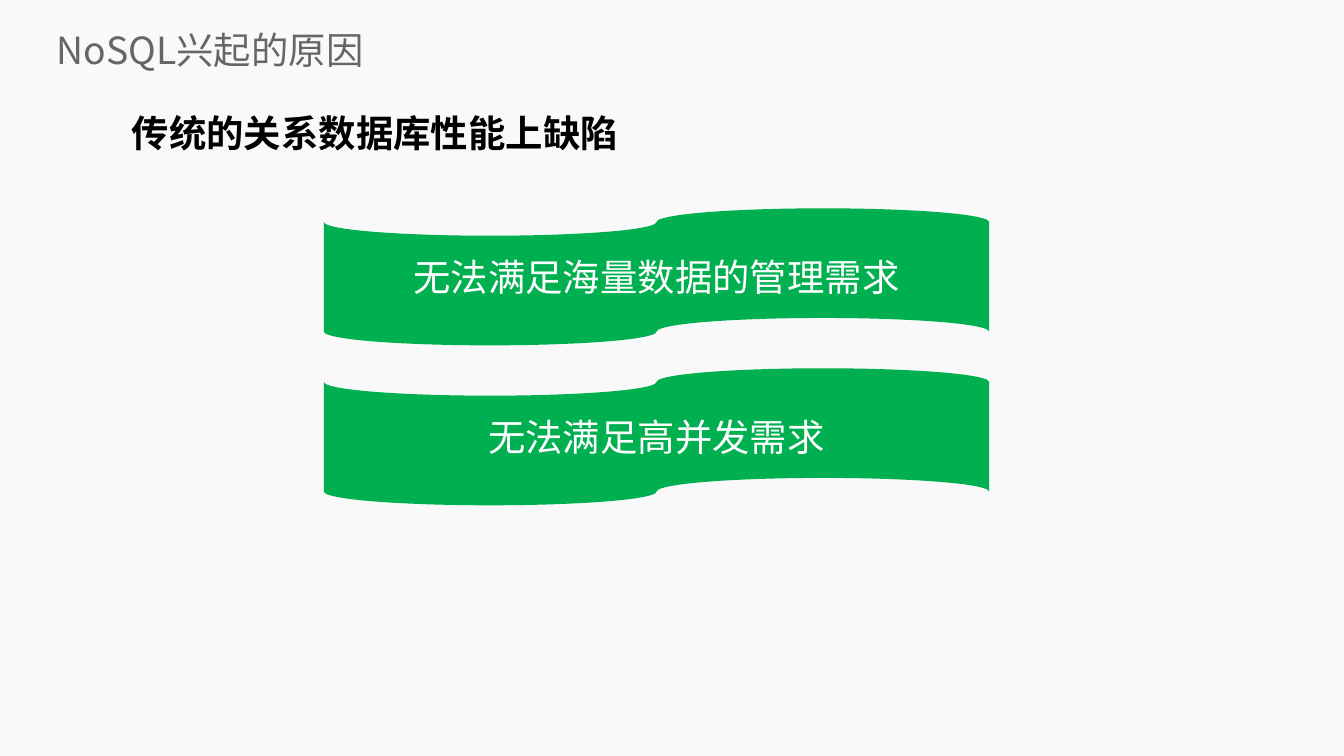
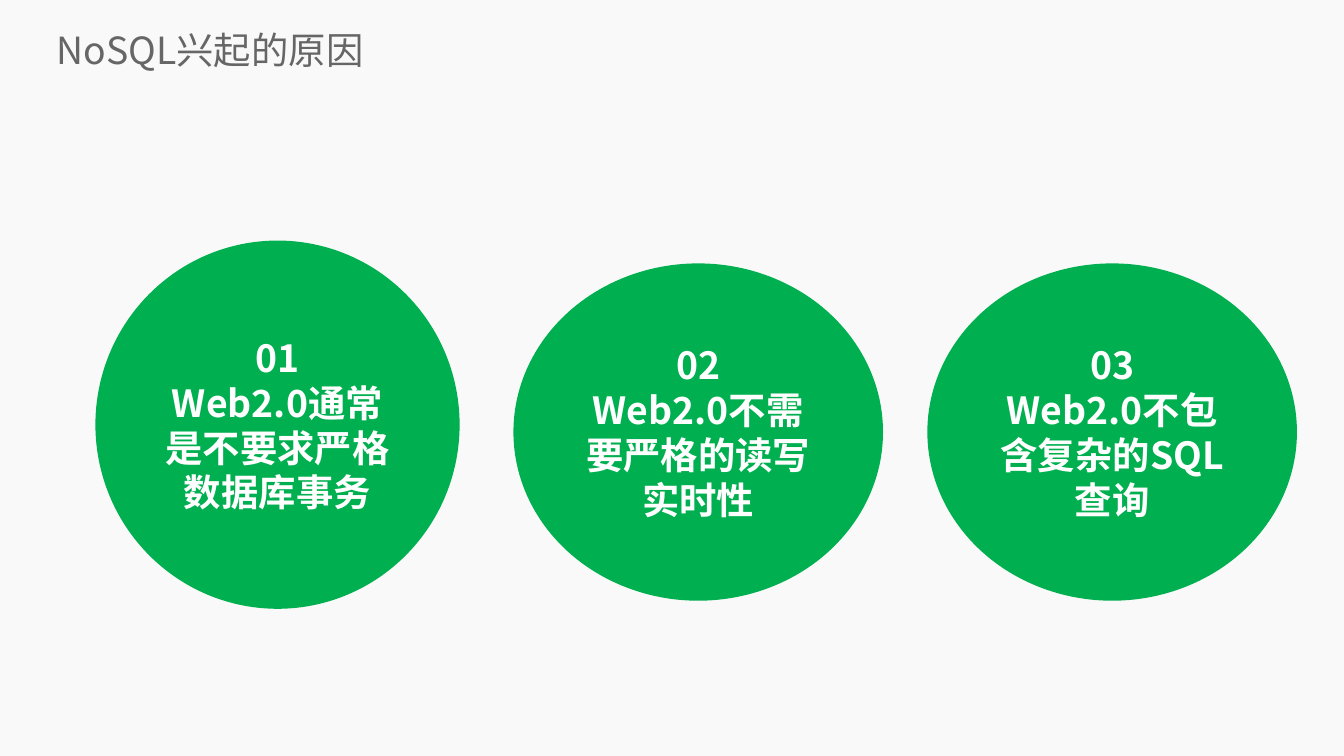
from dataclasses import dataclass

from lxml import etree
from pptx import Presentation
from pptx.dml.color import RGBColor
from pptx.enum.shapes import MSO_SHAPE
from pptx.enum.text import MSO_ANCHOR, PP_ALIGN
from pptx.oxml.ns import qn
from pptx.util import Pt

PX = 4572
TAPE, OVAL = MSO_SHAPE.FLOWCHART_PUNCHED_TAPE, MSO_SHAPE.OVAL
TOP, MIDDLE = MSO_ANCHOR.TOP, MSO_ANCHOR.MIDDLE
LEFT, CENTER = PP_ALIGN.LEFT, PP_ALIGN.CENTER


@dataclass(frozen=True)
class Theme:
    font: str = "Noto Sans CJK SC"
    size: int = 20
    back: RGBColor = RGBColor(0xF9, 0xF9, 0xF9)
    title: RGBColor = RGBColor(0x66, 0x66, 0x66)
    ink: RGBColor = RGBColor(0, 0, 0)
    green: RGBColor = RGBColor(0x00, 0xB0, 0x50)
    white: RGBColor = RGBColor(0xFF, 0xFF, 0xFF)


T = Theme()


def add_text(s, box, lines, color, bold=False, shape=None, anchor=MIDDLE, spacing=None):
    box = [v * PX for v in box]
    if shape is None:
        sp = s.shapes.add_textbox(*box)
        tf = sp.text_frame
        tf.margin_left = tf.margin_right = tf.margin_top = tf.margin_bottom = 0
    else:
        sp = s.shapes.add_shape(shape, *box)
        sp.shadow.inherit = False
        sp.fill.solid()
        sp.fill.fore_color.rgb = T.green
        sp.line.fill.background()
        tf = sp.text_frame
    tf.word_wrap = True
    tf.vertical_anchor = anchor
    for i, line in enumerate(lines):
        p = tf.add_paragraph() if i else tf.paragraphs[0]
        p.alignment = CENTER if shape else LEFT
        p.line_spacing = spacing
        r = p.add_run()
        r.text = line
        r.font.name = T.font
        r.font.size = Pt(T.size)
        r.font.bold = bold
        r.font.color.rgb = color
        etree.SubElement(r.font._element, qn("a:ea"), typeface=T.font)


def add_slide(prs):
    s = prs.slides.add_slide(prs.slide_layouts[6])
    s.background.fill.solid()
    s.background.fill.fore_color.rgb = T.back
    add_text(s, (84, 36, 1886, 76), ["NoSQL兴起的原因"], T.title)
    return s


prs = Presentation()
prs.slide_width, prs.slide_height = 2000 * PX, 1125 * PX

s = add_slide(prs)
add_text(s, (196, 138, 1498, 754), ["传统的关系数据库性能上缺陷"], T.ink,
         bold=True, anchor=TOP, spacing=1.4)
for i, text in enumerate(["无法满足海量数据的管理需求", "无法满足高并发需求"]):
    add_text(s, (482, 310 + 238 * i, 990, 204), [text], T.white, shape=TAPE)

s = add_slide(prs)
reasons = [
    ((142, 358, 542, 548), "Web2.0通常是不要求严格数据库事务"),
    ((764, 392, 550, 502), "Web2.0不需要严格的读写实时性"),
    ((1380, 392, 550, 502), "Web2.0不包含复杂的SQL查询"),
]
for n, (box, text) in enumerate(reasons, 1):
    add_text(s, box, [f"{n:02}", text], T.white, bold=True, shape=OVAL)

prs.save("out.pptx")
